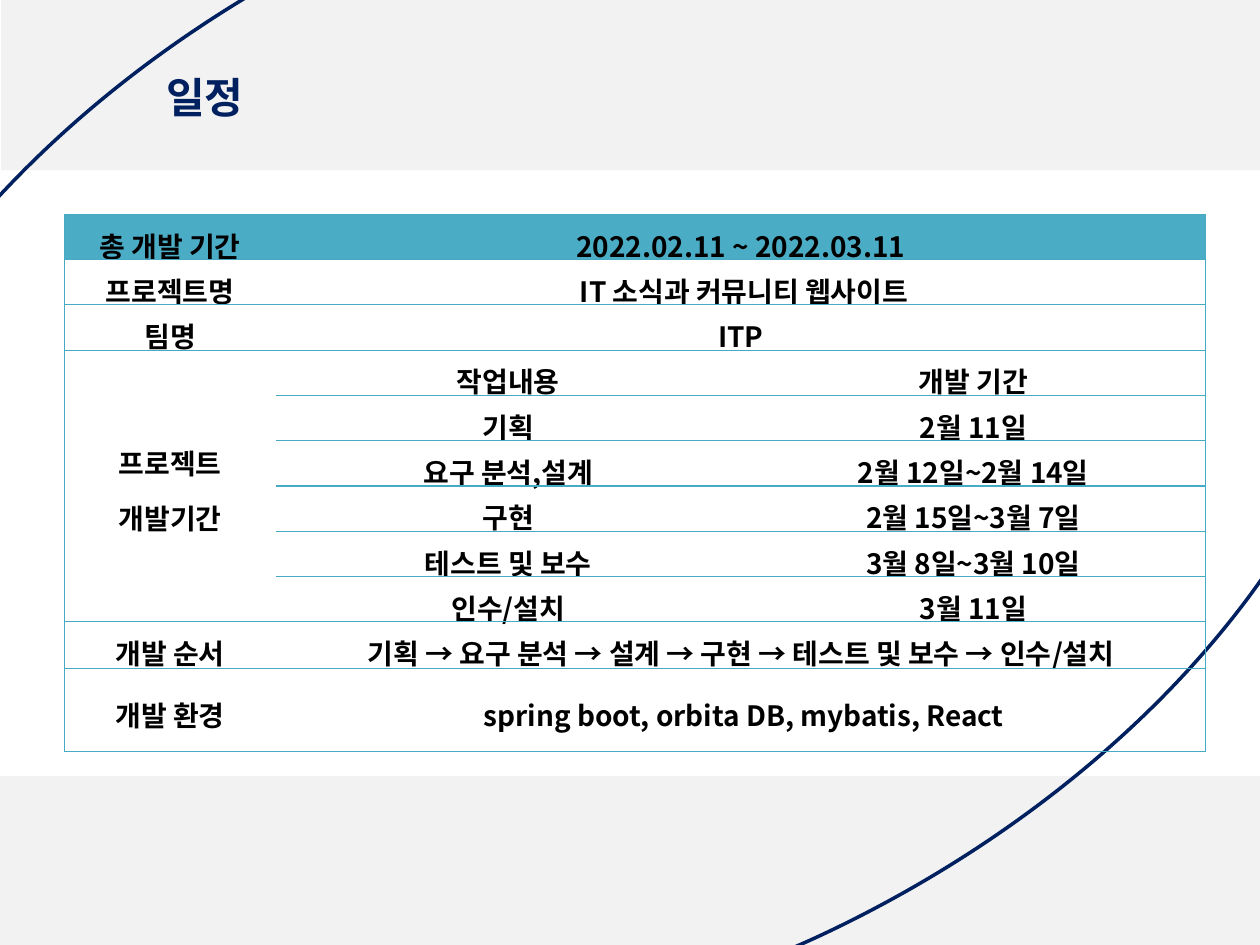
from lxml.etree import SubElement
from pptx import Presentation
from pptx.dml.color import RGBColor
from pptx.enum.shapes import MSO_SHAPE
from pptx.enum.text import MSO_ANCHOR, MSO_AUTO_SIZE, PP_ALIGN
from pptx.oxml.ns import qn
from pptx.util import Inches, Pt

FONT = "Noto Sans CJK KR"
COLORS = {"band": "F2F2F2", "navy": "002060", "header": "4BACC6",
          "border": "46AAC5", "text": "000000"}
NO_STYLE = "{2D5ABB26-0587-4C30-8999-92F81FD0307C}"


def write(paragraph, text, size, color):
    run = paragraph.add_run()
    run.text = text
    for name, value in {"name": FONT, "size": Pt(size), "bold": True}.items():
        setattr(run.font, name, value)
    run.font.color.rgb = RGBColor.from_string(COLORS[color])
    SubElement(run.font._element, qn("a:ea"), typeface=FONT)


def add_borders(cell, sides):
    properties = cell._tc.get_or_add_tcPr()
    for position, side in enumerate(sides):
        line = SubElement(properties, qn(f"a:ln{side}"), w=str(Pt(0.75)))
        fill = SubElement(line, qn("a:solidFill"))
        SubElement(fill, qn("a:srgbClr"), val=COLORS["border"])
        properties.insert(position, line)


prs = Presentation()
prs.slide_width, prs.slide_height = Inches(10), Inches(7.5)
slide = prs.slides.add_slide(prs.slide_layouts[6])

for left, top in [(0.01, 0), (0, 6.16)]:
    band = slide.shapes.add_shape(
        MSO_SHAPE.RECTANGLE, Inches(left), Inches(top), Inches(10), Inches(1.35))
    band.shadow.inherit = False
    band.fill.solid()
    band.fill.fore_color.rgb = RGBColor.from_string(COLORS["band"])
    band.line.fill.background()

arc = slide.shapes.add_shape(
    MSO_SHAPE.TEAR, Inches(-1.94), Inches(-0.91), Inches(13.27), Inches(8.73))
arc.adjustments[0] = 0.69
arc.rotation = 154.5
arc.shadow.inherit = False
arc.fill.background()
arc.line.color.rgb = RGBColor.from_string(COLORS["navy"])
arc.line.width = Pt(2)

title = slide.shapes.add_textbox(Inches(1.22), Inches(0.52), Inches(0.88), Inches(0.5))
title.text_frame.word_wrap = False
title.text_frame.auto_size = MSO_AUTO_SIZE.SHAPE_TO_FIT_TEXT
write(title.text_frame.paragraphs[0], "일정", 24, "navy")

schedule = [
    ("총 개발 기간", "2022.02.11 ~ 2022.03.11", None),
    ("프로젝트명", " IT 소식과 커뮤니티 웹사이트", None),
    ("팀명", "ITP", None),
    ("프로젝트\n개발기간", "작업내용", "개발 기간"),
    (None, "기획", "2월 11일"),
    (None, "요구 분석,설계", "2월 12일~2월 14일"),
    (None, "구현", "2월 15일~3월 7일"),
    (None, "테스트 및 보수", "3월 8일~3월 10일"),
    (None, "인수/설치", "3월 11일"),
    ("개발 순서", "기획 → 요구 분석 → 설계 → 구현 → 테스트 및 보수 → 인수/설치", None),
    ("개발 환경", " spring boot, orbita DB, mybatis, React", None),
]
row_heights = [0.33, 0.33, 0.33, 0.11, 0.08, 0.15, 0.33, 0.33, 0.2, 0.37, 0.66]
column_widths = [1.68, 3.69, 3.69]
phase_first, phase_last = 3, 8
cell_format = {"vertical_anchor": MSO_ANCHOR.MIDDLE,
               "margin_left": Inches(0.07), "margin_right": Inches(0.07),
               "margin_top": Inches(0.02), "margin_bottom": Inches(0.02)}
paragraph_format = {"alignment": PP_ALIGN.CENTER, "line_spacing": 1.2, "space_after": Pt(4)}

frame = slide.shapes.add_table(
    len(schedule), len(column_widths), Inches(0.51), Inches(1.7), Inches(9.06), Inches(4))
table = frame.table
table.first_row = table.horz_banding = False
table._tbl.tblPr.find(qn("a:tableStyleId")).text = NO_STYLE
for column, width in zip(table.columns, column_widths):
    column.width = Inches(width)
for row, height in zip(table.rows, row_heights):
    row.height = Inches(height)
frame.height = Inches(4)

table.cell(phase_first, 0).merge(table.cell(phase_last, 0))
for r, entries in enumerate(schedule):
    if entries[2] is None:
        table.cell(r, 1).merge(table.cell(r, 2))
    for c, text in enumerate(entries):
        cell = table.cell(r, c)
        for name, value in cell_format.items():
            setattr(cell, name, value)
        if r == 0:
            cell.fill.solid()
            cell.fill.fore_color.rgb = RGBColor.from_string(COLORS["header"])
        else:
            cell.fill.background()

        in_phase = c == 0 and phase_first <= r <= phase_last
        sides = "L" if c == 0 else "R" if c == 2 or entries[2] is None else ""
        if not in_phase or r == phase_first:
            sides += "T"
        if not in_phase or r == phase_last:
            sides += "B"
        add_borders(cell, sides)

        if text is None:
            continue
        for i, line in enumerate(text.split("\n")):
            paragraph = cell.text_frame.paragraphs[0] if i == 0 else cell.text_frame.add_paragraph()
            for name, value in paragraph_format.items():
                setattr(paragraph, name, value)
            if r == 0 and c == 0:
                paragraph.space_after = None
            write(paragraph, line, 16, "text")

prs.save("out.pptx")
